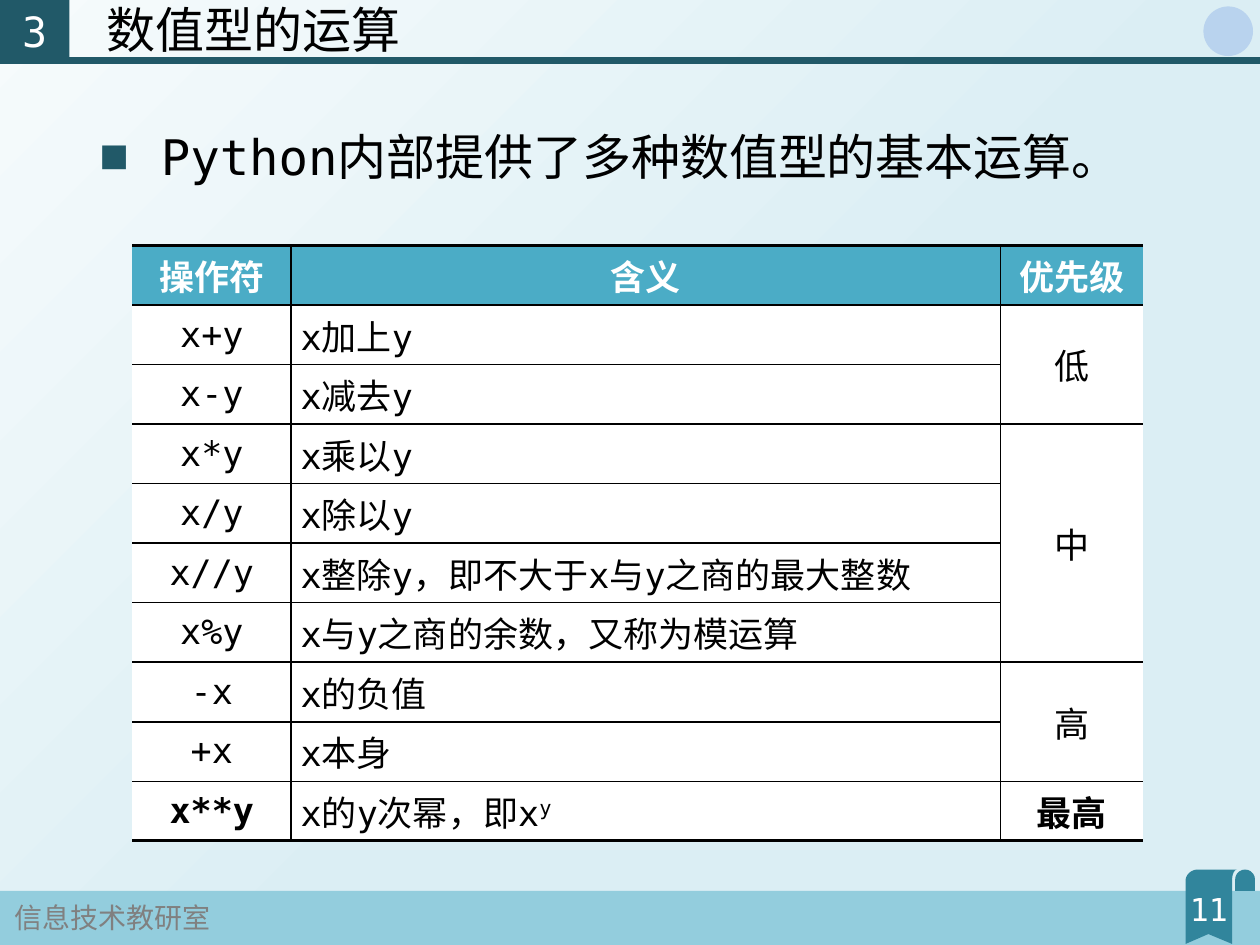
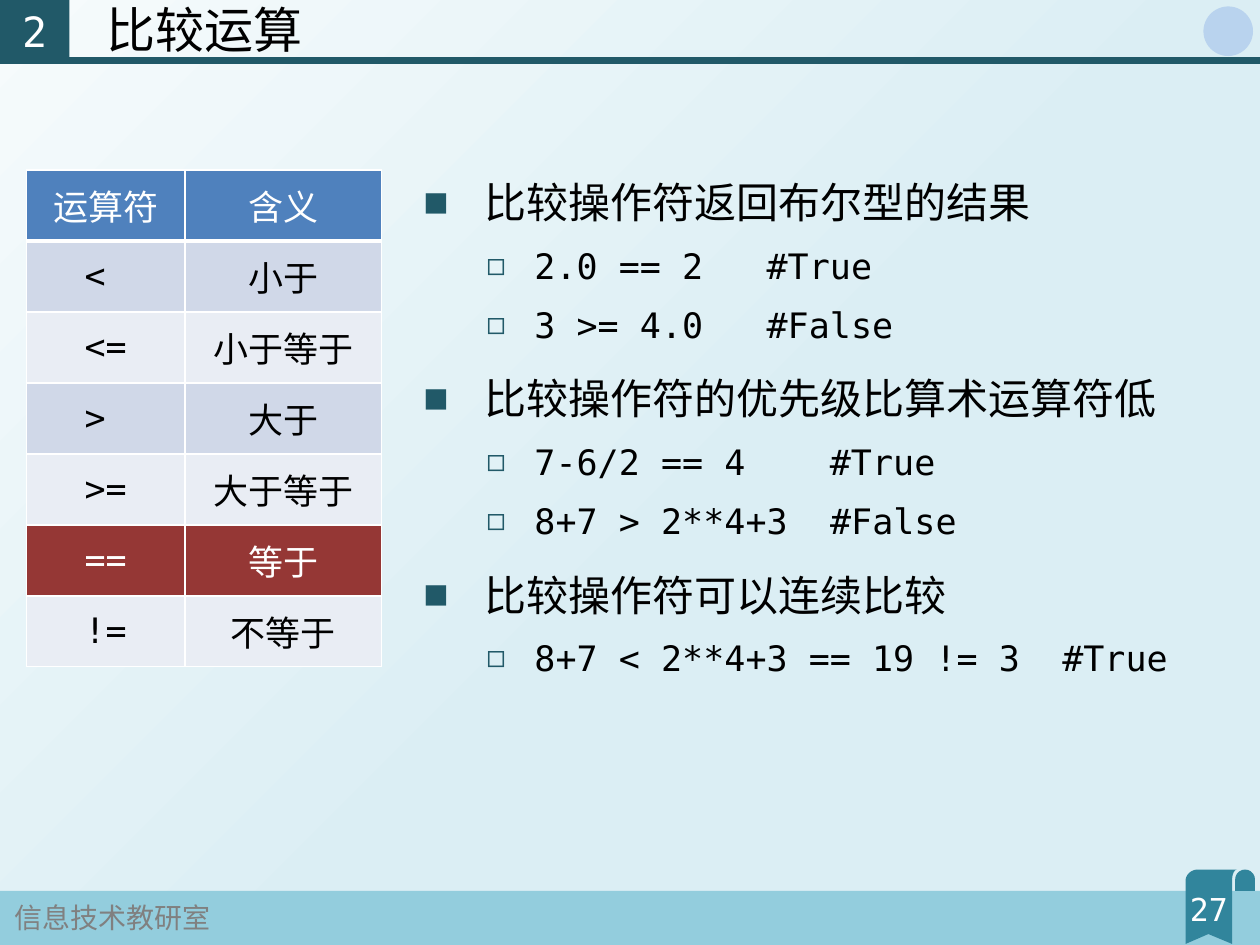
import math
from dataclasses import dataclass

import pptx
import pptx.dml.color
import pptx.enum.dml
import pptx.enum.shapes
import pptx.enum.text
import pptx.oxml.ns
import pptx.util
from lxml import etree

Cm, Pt = pptx.util.Cm, pptx.util.Pt
qn = pptx.oxml.ns.qn
RGB = pptx.dml.color.RGBColor.from_string
ALIGN = pptx.enum.text.PP_ALIGN
MIDDLE = pptx.enum.text.MSO_ANCHOR.MIDDLE
SHAPE = pptx.enum.shapes.MSO_SHAPE


@dataclass(frozen=True)
class Theme:
    latin: str = "DejaVu Sans Mono"
    cjk: str = "Noto Sans CJK JP"
    black: str = "000000"
    white: str = "FFFFFF"
    dark: str = "215968"
    ribbon: str = "31859C"
    band: str = "93CDDD"
    badge: str = "B9D3EE"
    muted: str = "808080"
    bg_start: str = "F6FBFC"
    bg_end: str = "DBEEF4"
    aqua: str = "4BACC6"
    blue: str = "4F81BD"
    stripes: tuple = ("D0D8E8", "E9EDF4")
    red: str = "953735"
    title_pt: float = 28
    chip_pt: float = 23.8
    item_pt: float = 24
    cell_pt: float = 20
    page_pt: float = 18
    footer_pt: float = 16


T = Theme()
COLUMN_PT = 0.602 * T.cell_pt  # width of one monospaced character

OPERATORS = [
    ("操作符", "含义", "优先级"),
    ("x+y", "x加上y", "低"),
    ("x-y", "x减去y", ""),
    ("x*y", "x乘以y", "中"),
    ("x/y", "x除以y", ""),
    ("x//y", "x整除y，即不大于x与y之商的最大整数", ""),
    ("x%y", "x与y之商的余数，又称为模运算", ""),
    ("-x", "x的负值", "高"),
    ("+x", "x本身", ""),
    ("x**y", "x的y次幂，即x", "最高"),
]
PRIORITY_SPANS = [(1, 2), (3, 6), (7, 8)]

COMPARISONS = [
    ("运算符", "含义"),
    ("<", "小于"),
    ("<=", "小于等于"),
    (">", "大于"),
    (">=", "大于等于"),
    ("==", "等于"),
    ("!=", "不等于"),
]

# Each point with its examples: code, gap in characters, comment
COMPARISON_POINTS = [
    ("比较操作符返回布尔型的结果",
     [("2.0 == 2", 3, "#True"), ("3 >= 4.0", 3, "#False")]),
    ("比较操作符的优先级比算术运算符低",
     [("7-6/2 == 4", 4, "#True"), ("8+7 > 2**4+3", 2, "#False")]),
    ("比较操作符可以连续比较",
     [("8+7 < 2**4+3 == 19 != 3", 2, "#True")]),
]


def add_run(p, text, size, color=T.black, bold=False, latin=T.latin):
    r = p.add_run()
    r.text = text
    r.font.size, r.font.bold, r.font.name = Pt(size), bold, latin
    r.font.color.rgb = RGB(color)
    etree.SubElement(r.font._element, qn("a:ea"), typeface=T.cjk)
    return r


def place(shape, box):
    shape.left, shape.top, shape.width, shape.height = (Cm(v) for v in box)


def paint(shape, color):
    shape.shadow.inherit = False
    shape.fill.solid()
    shape.fill.fore_color.rgb = RGB(color)
    shape.line.fill.background()


def indent(p, left, first=0.0):
    pPr = p._p.get_or_add_pPr()
    pPr.set("marL", str(Cm(left)))
    pPr.set("indent", str(Cm(first)))
    return pPr


def arc(cx, cy, rx, ry, start, end, steps=10):
    """Points in cm along an elliptical arc, in degrees."""
    angles = [math.radians(start + (end - start) * i / steps) for i in range(steps + 1)]
    return [(cx + rx * math.cos(a), cy + ry * math.sin(a)) for a in angles]


def add_ribbon(s, left, top):
    strip = (arc(0.25, 0.23, 0.25, 0.23, 180, 270)
             + arc(1.04, 0.2, 0.1, 0.2, 270, 180)
             + [(0.94, 1.5), (0.46, 1.3), (0, 1.5)])
    curl = [(1, 0.43)] + arc(1.2, 0.2, 0.2, 0.2, 180, 360) + [(1.4, 0.43)]
    builder = None
    for outline in (strip, curl):
        pts = [(Cm(left + x), Cm(top + y)) for x, y in outline]
        if builder is None:
            builder = s.shapes.build_freeform(*pts[0], scale=1.0)
        else:
            builder.move_to(*pts[0])
        builder.add_line_segments(pts[1:], close=True)
    ribbon = builder.convert_to_shape()
    paint(ribbon, T.ribbon)
    return ribbon


def set_background(master):
    fill = master.background.fill
    fill.gradient()
    fill.gradient_angle = 315
    stops = zip(fill.gradient_stops, (T.bg_start, T.bg_end), (0, 0.56))
    for stop, color, position in stops:
        stop.color.rgb = RGB(color)
        stop.position = position


def move_frame_to_layout(s):
    """Draw the shared band, footer, rule and badge, and hand them to the layout."""
    band = s.shapes.add_shape(SHAPE.RECTANGLE, 0, Cm(17.96), Cm(25.4), Cm(1.09))
    paint(band, T.band)
    ribbon = add_ribbon(s, 23.9, 17.53)

    footer = s.shapes.add_textbox(Cm(0.05), Cm(18.03), Cm(4.5), Cm(0.94))
    footer.text_frame.word_wrap = False
    add_run(footer.text_frame.paragraphs[0], "信息技术教研室", T.footer_pt, T.muted, latin=T.cjk)

    rule = s.shapes.add_connector(pptx.enum.shapes.MSO_CONNECTOR.STRAIGHT,
                                  0, Cm(1.22), Cm(25.4), Cm(1.22))
    rule.line.color.rgb = RGB(T.dark)
    rule.line.width = Pt(4.5)
    etree.SubElement(rule._element.spPr, qn("a:effectLst"))

    badge = s.shapes.add_shape(SHAPE.OVAL, Cm(24.26), Cm(0.13), Cm(1), Cm(1))
    paint(badge, T.badge)

    for shape in (band, ribbon, footer, rule, badge):
        s.slide_layout.shapes.element.append(shape.element)


def fill_heading(s, section, title):
    sp = s.shapes.title
    place(sp, (1.4, 0.03, 16.4, 1.24))
    tf = sp.text_frame
    tf.auto_size = pptx.enum.text.MSO_AUTO_SIZE.NONE
    tf.vertical_anchor = MIDDLE
    p = tf.paragraphs[0]
    p.alignment, p.line_spacing = ALIGN.LEFT, 0.9
    indent(p, 0.5)
    add_run(p, title, T.title_pt)

    chip = s.placeholders[2]
    place(chip, (0, -0.03, 1.4, 1.3))
    chip.fill.solid()
    chip.fill.fore_color.rgb = RGB(T.dark)
    tf = chip.text_frame
    tf.auto_size = pptx.enum.text.MSO_AUTO_SIZE.NONE
    tf.vertical_anchor = MIDDLE
    p = tf.paragraphs[0]
    p.alignment, p.space_before = ALIGN.CENTER, Pt(10)
    etree.SubElement(indent(p, 0), qn("a:buNone"))
    add_run(p, section, T.chip_pt, T.white)


def add_page_number(s, number):
    tf = s.shapes.add_textbox(Cm(23.47), Cm(17.81), Cm(1.8), Cm(1.02)).text_frame
    tf.word_wrap = True
    p = tf.paragraphs[0]
    p.alignment = ALIGN.CENTER
    add_run(p, number, T.page_pt, T.white)


def add_bullet(tf, level=0):
    """Start a bulleted paragraph, reusing the first one while it is empty."""
    p = tf.paragraphs[0] if not tf.paragraphs[0].runs else tf.add_paragraph()
    p.level, p.line_spacing = level, 1.2
    p.space_before = Pt((10, 5)[level])
    pPr = indent(p, *((1.24, -1.24), (2.24, -0.97))[level])
    color = etree.SubElement(pPr, qn("a:buClr"))
    etree.SubElement(color, qn("a:srgbClr"), val=T.dark)
    etree.SubElement(pPr, qn("a:buSzPct"), val=("100000", "90000")[level])
    etree.SubElement(pPr, qn("a:buChar"), char="■◻"[level])
    return p


def open_list(s, box):
    body = s.placeholders[1]
    place(body, box)
    body.text_frame.auto_size = pptx.enum.text.MSO_AUTO_SIZE.NONE
    return body.text_frame


def add_example(tf, code, gap, comment):
    p = add_bullet(tf, level=1)
    add_run(p, code, T.cell_pt)
    spacer = add_run(p, " ", T.cell_pt)
    spacer.font._element.set("spc", str(round((gap - 1) * COLUMN_PT * 100)))
    add_run(p, comment, T.cell_pt)


def set_borders(cell, color, **widths):
    """Give widths in points for L, R, T and B; 0 hides that side."""
    tcPr = cell._tc.get_or_add_tcPr()
    for i, side in enumerate("LRTB"):
        ln = etree.Element(qn("a:ln" + side), w=str(Pt(widths[side])))
        if widths[side]:
            fill = etree.SubElement(ln, qn("a:solidFill"))
            etree.SubElement(fill, qn("a:srgbClr"), val=color)
        else:
            etree.SubElement(ln, qn("a:noFill"))
        tcPr.insert(i, ln)


def add_grid(s, left, top, col_widths, row_height, n_rows):
    table = s.shapes.add_table(n_rows, len(col_widths), Cm(left), Cm(top),
                               Cm(sum(col_widths)), Cm(row_height * n_rows)).table
    for col, width in zip(table.columns, col_widths):
        col.width = Cm(width)
    for row in table.rows:
        row.height = Cm(row_height)
    return table


def fill_cell(cell, text, fill, color=T.black, bold=False, align=ALIGN.CENTER):
    cell.fill.solid()
    cell.fill.fore_color.rgb = RGB(fill)
    cell.vertical_anchor = MIDDLE
    cell.margin_left = cell.margin_right = Cm(0.19)
    cell.margin_top = cell.margin_bottom = 0
    p = cell.text_frame.paragraphs[0]
    p.alignment = align
    if text:
        add_run(p, text, T.cell_pt, color, bold)
    return p


def add_operator_table(s, left, top):
    table = add_grid(s, left, top, (3.2, 14.3, 2.87), 1.2, len(OPERATORS))
    for first, last in PRIORITY_SPANS:
        table.cell(first, 2).merge(table.cell(last, 2))
    end = len(OPERATORS) - 1
    for r, row in enumerate(OPERATORS):
        for c, text in enumerate(row):
            cell = table.cell(r, c)
            head = r == 0
            p = fill_cell(cell, text, T.aqua if head else T.white,
                          T.white if head else T.black,
                          bold=head or (r == end and c != 1),
                          align=ALIGN.LEFT if c == 1 and not head else ALIGN.CENTER)
            if (r, c) == (end, 1):
                add_run(p, "y", T.cell_pt).font._element.set("baseline", "30000")
            if not cell.is_spanned:
                set_borders(cell, T.black, L=int(c > 0), R=int(c < 2),
                            T=2 if head else 1, B=2 if r == end else 1)


def add_comparison_table(s, left, top):
    table = add_grid(s, left, top, (3.2, 3.96), 1.43, len(COMPARISONS))
    for r, row in enumerate(COMPARISONS):
        fill = T.blue if r == 0 else T.red if row[0] == "==" else T.stripes[(r - 1) % 2]
        color = T.white if fill in (T.blue, T.red) else T.black
        for c, text in enumerate(row):
            cell = table.cell(r, c)
            fill_cell(cell, text, fill, color)
            if len(text) == 1:  # line up with the two-character operators
                cell.margin_right = Cm(0.61)
            set_borders(cell, T.white, L=1, R=1, T=3 if r == 1 else 1, B=3 if r == 0 else 1)


def add_slide(prs, section, title, page):
    s = prs.slides.add_slide(prs.slide_layouts.get_by_name("Two Content"))
    fill_heading(s, section, title)
    add_page_number(s, page)
    return s


def main():
    prs = pptx.Presentation()
    prs.slide_width, prs.slide_height = Cm(25.4), Cm(19.05)
    set_background(prs.slide_master)

    s = add_slide(prs, "3", "数值型的运算", "11")
    move_frame_to_layout(s)
    tf = open_list(s, (1.75, 2.18, 21.9, 1.7))
    add_run(add_bullet(tf), "Python内部提供了多种数值型的基本运算。", T.title_pt)
    add_operator_table(s, 2.67, 4.95)

    s = add_slide(prs, "2", "比较运算", "27")
    tf = open_list(s, (8.28, 3.23, 16.4, 11.86))
    for point, examples in COMPARISON_POINTS:
        add_run(add_bullet(tf), point, T.item_pt)
        for example in examples:
            add_example(tf, *example)
    add_comparison_table(s, 0.53, 3.43)

    prs.save("out.pptx")


if __name__ == "__main__":
    main()
